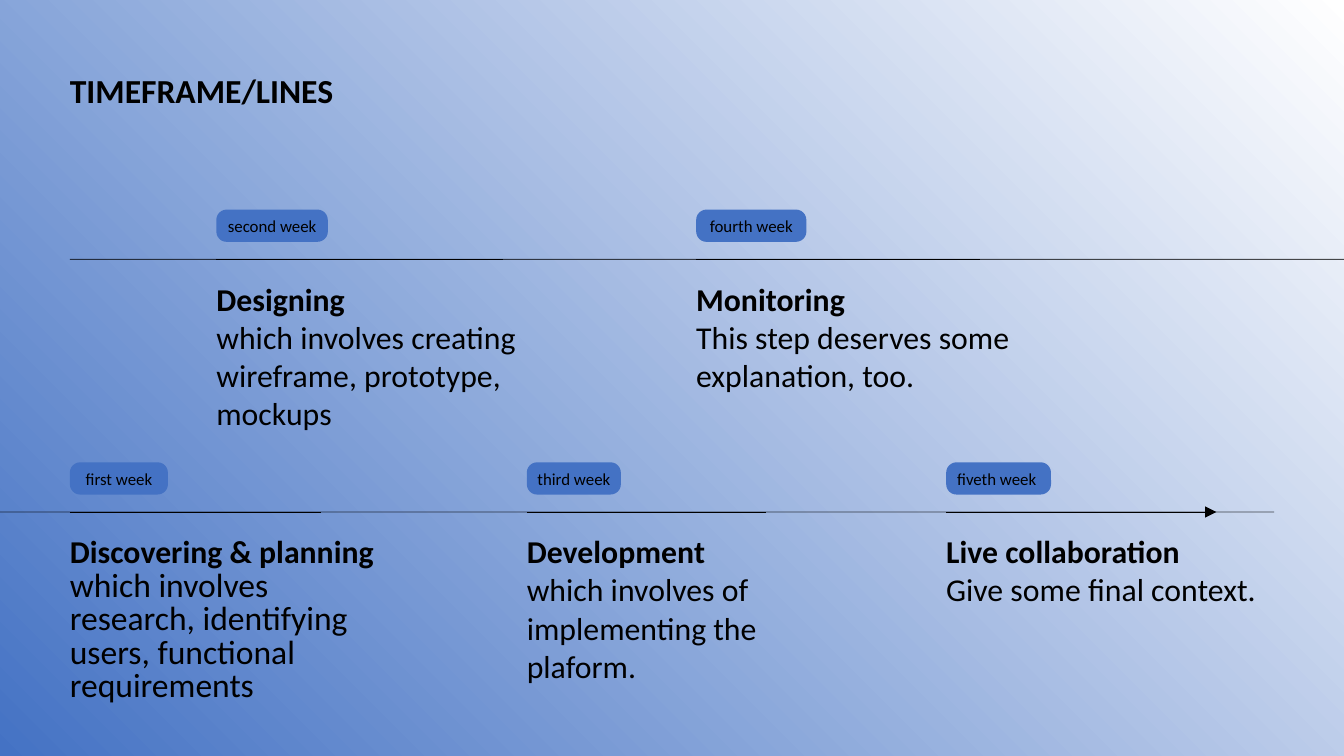
from dataclasses import dataclass

from lxml import etree
from pptx import Presentation
from pptx import util as u
from pptx.dml.color import RGBColor
from pptx.enum import shapes, text
from pptx.oxml.ns import qn


@dataclass(frozen=True)
class Theme:
    font: str = "Calibri"
    ink: RGBColor = RGBColor(0, 0, 0)
    accent: RGBColor = RGBColor(0x44, 0x72, 0xC4)
    paper: RGBColor = RGBColor(0xFF, 0xFF, 0xFF)
    title_size: float = 18
    step_size: float = 17
    badge_size: float = 9
    line_width: float = 0.42


class TimelineSlide:
    def __init__(self, deck, theme):
        self.theme = theme
        self.slide = deck.slides.add_slide(deck.slide_layouts[5])

    def background(self):
        fill = self.slide.background.fill
        fill.gradient()
        fill.gradient_angle = 45
        for stop, color in zip(fill.gradient_stops, (self.theme.accent, self.theme.paper)):
            stop.color.rgb = color

    def style(self, paragraph, size, bold=False):
        font = paragraph.font
        font.name = self.theme.font
        font.size = u.Pt(size)
        font.bold = bold
        font.color.rgb = self.theme.ink

    def frame(self, shape, inset_x=0, inset_y=0, anchor=text.MSO_ANCHOR.TOP):
        frame = shape.text_frame
        frame.word_wrap = True
        frame.auto_size = text.MSO_AUTO_SIZE.NONE
        frame.vertical_anchor = anchor
        frame.margin_left = frame.margin_right = u.Inches(inset_x)
        frame.margin_top = frame.margin_bottom = u.Inches(inset_y)
        return frame

    def title(self, words, left, top, width, height):
        heading = self.slide.shapes.title
        heading.left, heading.top = u.Inches(left), u.Inches(top)
        heading.width, heading.height = u.Inches(width), u.Inches(height)
        frame = self.frame(heading)
        frame.text = words
        frame.paragraphs[0].alignment = text.PP_ALIGN.LEFT
        self.style(frame.paragraphs[0], self.theme.title_size, bold=True)

    def line(self, start, end, y, alpha=None, arrow=False):
        rule = self.slide.shapes.add_connector(
            shapes.MSO_CONNECTOR.STRAIGHT,
            u.Inches(start), u.Inches(y), u.Inches(end), u.Inches(y))
        rule.line.width = u.Pt(self.theme.line_width)
        rule.line.color.rgb = self.theme.ink
        properties = rule.line._get_or_add_ln()
        if alpha:
            color = properties.find(".//" + qn("a:srgbClr"))
            etree.SubElement(color, qn("a:alpha"), val=str(alpha * 1000))
        if arrow:
            etree.SubElement(properties, qn("a:tailEnd"), type="triangle")
        etree.SubElement(rule._element.spPr, qn("a:effectLst"))

    def badge(self, words, left, top, width):
        pill = self.slide.shapes.add_shape(
            shapes.MSO_SHAPE.ROUNDED_RECTANGLE,
            u.Inches(left), u.Inches(top), u.Inches(width), u.Inches(0.24))
        pill.adjustments[0] = 0.32
        pill.shadow.inherit = False
        pill.fill.solid()
        pill.fill.fore_color.rgb = self.theme.accent
        pill.line.fill.background()
        frame = self.frame(pill, 0.04, 0.03, text.MSO_ANCHOR.MIDDLE)
        frame.text = words
        frame.paragraphs[0].alignment = text.PP_ALIGN.CENTER
        self.style(frame.paragraphs[0], self.theme.badge_size)

    def description(self, heading, detail, left, top, width, height, size, spacing):
        box = self.slide.shapes.add_textbox(
            u.Inches(left), u.Inches(top), u.Inches(width), u.Inches(height))
        frame = self.frame(box)
        frame.text = heading
        self.style(frame.paragraphs[0], self.theme.step_size, bold=True)
        body = frame.add_paragraph()
        body.text = detail
        if spacing:
            body.line_spacing = u.Pt(spacing)
        self.style(body, size or self.theme.step_size)

    def step(self, week, heading, detail, left, axis, badge_width, line_length,
             width, height, size=None, spacing=None, arrow=False):
        self.description(heading, detail, left, axis + 0.15, width, height, size, spacing)
        self.line(left, left + line_length, axis, arrow=arrow)
        self.badge(week, left, axis - 0.37, badge_width)


def main():
    deck = Presentation()
    deck.slide_width = u.Inches(10)
    deck.slide_height = deck.slide_width * 9 // 16
    timeline = TimelineSlide(deck, Theme())
    margin, upper, lower = 0.52, 1.93, 3.81

    timeline.background()
    timeline.title("TIMEFRAME/LINES", margin, 0.52, 8.96, 0.41)
    timeline.line(margin, 10.08, upper, alpha=70)
    timeline.line(-0.09, 9.48, lower, alpha=70)

    timeline.step("first week", "Discovering & planning",
                  "which involves research, identifying users, functional requirements",
                  margin, lower, 0.73, 1.87, 2.27, 1.5, size=18, spacing=18)
    timeline.step("fiveth week ", "Live collaboration ", "Give some final context.",
                  7.04, lower, 0.78, 2.01, 2.44, 0.57, arrow=True)
    timeline.step("second week", "Designing",
                  "which involves creating wireframe, prototype, mockups",
                  1.61, upper, 0.83, 2.13, 2.59, 1.14)
    timeline.step("fourth week", "Monitoring",
                  "This step deserves some explanation, too.",
                  5.18, upper, 0.82, 2.11, 2.56, 0.86)
    timeline.step("third week", "Development",
                  "which involves of implementing the plaform.",
                  3.92, lower, 0.7, 1.78, 2.17, 1.14)
    deck.save("out.pptx")


if __name__ == "__main__":
    main()
